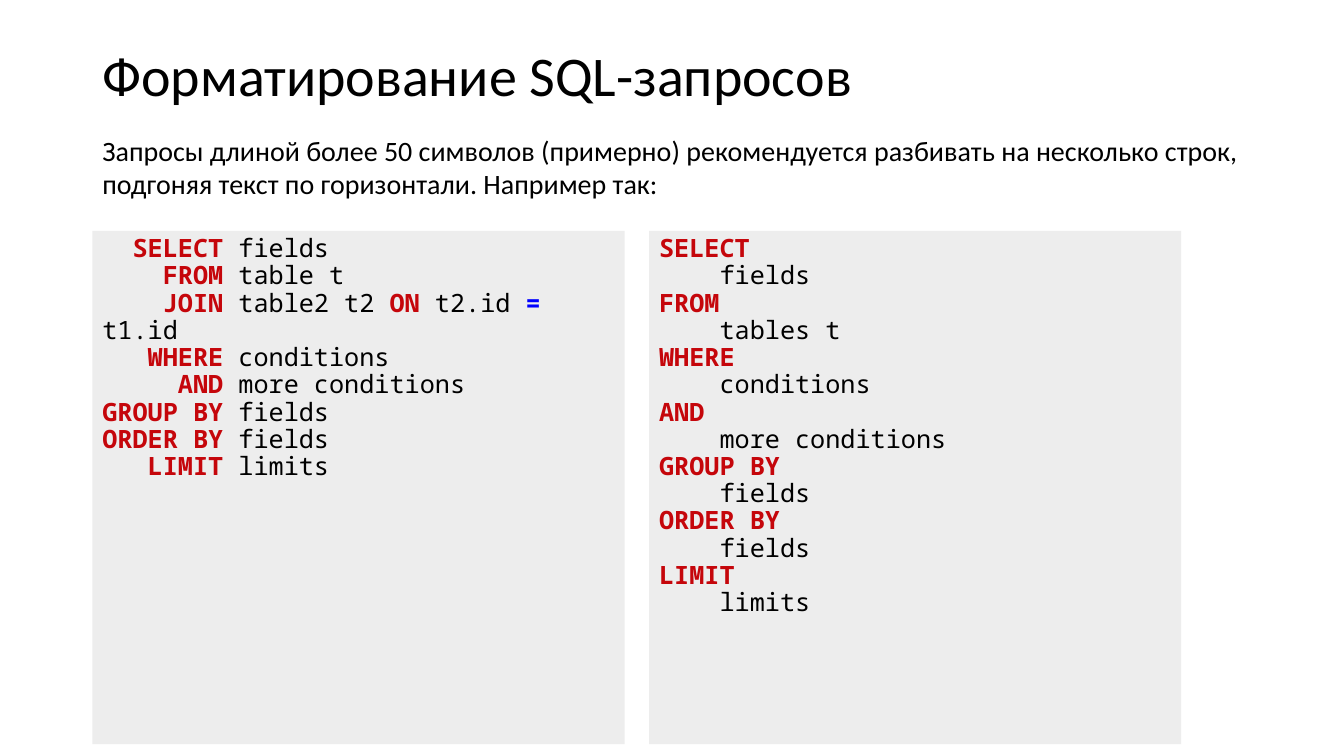
import pptx
import pptx.dml.color
import pptx.enum.shapes
import pptx.enum.text
import pptx.util

Cm, Pt = pptx.util.Cm, pptx.util.Pt
ANCHOR = pptx.enum.text.MSO_ANCHOR

TITLE = "Форматирование SQL-запросов"
ADVICE = ("Запросы длиной более 50 символов (примерно) рекомендуется разбивать "
          "на несколько строк, подгоняя текст по горизонтали. Например так:")

# Each clause: keyword, then the pieces of its argument as (text, style)
ALIGNED_QUERY = [
    ("SELECT", [("fields", "code")]),
    ("FROM", [("table t", "code")]),
    ("JOIN", [("table2 t2 ", "code"), ("ON", "keyword"), (" t2.id ", "code"),
              ("=", "operator"), (" t1.id", "code")]),
    ("WHERE", [("conditions", "code")]),
    ("AND", [("more conditions", "code")]),
    ("GROUP BY", [("fields", "code")]),
    ("ORDER BY", [("fields", "code")]),
    ("LIMIT", [("limits", "code")]),
]
STACKED_QUERY = [
    ("SELECT", "fields"),
    ("FROM", "tables t"),
    ("WHERE", "conditions"),
    ("AND", "more conditions"),
    ("GROUP BY", "fields"),
    ("ORDER BY", "fields"),
    ("LIMIT", "limits"),
]

COLORS = {"text": "000000", "panel": "EDEDED", "keyword": "C5060B", "operator": "0000FF"}
STYLES = {
    "title": ({"name": "Calibri", "size": Pt(40), "bold": False}, "text"),
    "advice": ({"name": "Calibri", "size": Pt(20), "bold": False}, "text"),
    "code": ({"name": "Noto Sans Mono", "size": Pt(18), "bold": False}, "text"),
    "keyword": ({"name": "Noto Sans Mono", "size": Pt(18), "bold": True}, "keyword"),
    "operator": ({"name": "Noto Sans Mono", "size": Pt(18), "bold": True}, "operator"),
}

LEFT, TEXT_WIDTH = Cm(2.33), Cm(29.21)
TITLE_TOP, TITLE_HEIGHT = Cm(0.74), Cm(2.49)
ADVICE_TOP, ADVICE_HEIGHT = Cm(3.23), Cm(2.24)
PANEL_TOP, PANEL_WIDTH, PANEL_HEIGHT = Cm(5.82), Cm(13.41), Cm(12.93)
PANEL_GAP = Cm(0.62)
INDENT = 4


def color(name):
    return pptx.dml.color.RGBColor.from_string(COLORS[name])


def aligned_lines(query):
    """Right-align the keywords to the longest one."""
    column = max(len(keyword) for keyword, _ in query)
    return [[(" " * (column - len(keyword)), "code"), (keyword, "keyword"),
             (" ", "code"), *argument] for keyword, argument in query]


def stacked_lines(query):
    """Put each keyword on its own line, with its argument indented below."""
    return [line for keyword, argument in query
            for line in ([(keyword, "keyword")], [(" " * INDENT + argument, "code")])]


def write(shape, lines, anchor=ANCHOR.TOP, line_spacing=0.9, space_before=Pt(0)):
    """Fill the shape with one left-aligned paragraph, its lines split by breaks."""
    frame = shape.text_frame
    frame.word_wrap = True
    frame.vertical_anchor = anchor
    paragraph = frame.paragraphs[0]
    layout = {"alignment": pptx.enum.text.PP_ALIGN.LEFT,
              "line_spacing": line_spacing, "space_before": space_before}
    for attribute, value in layout.items():
        setattr(paragraph, attribute, value)
    for number, line in enumerate(lines):
        if number:
            paragraph.add_line_break()
        for text, style in line:
            if not text:
                continue
            run = paragraph.add_run()
            run.text = text
            font_format, color_name = STYLES[style]
            for attribute, value in font_format.items():
                setattr(run.font, attribute, value)
            run.font.color.rgb = color(color_name)


def add_panel(slide, column, lines):
    panel = slide.shapes.add_shape(
        pptx.enum.shapes.MSO_SHAPE.RECTANGLE,
        LEFT + column * (PANEL_WIDTH + PANEL_GAP), PANEL_TOP, PANEL_WIDTH, PANEL_HEIGHT)
    panel.shadow.inherit = False
    panel.fill.solid()
    panel.fill.fore_color.rgb = color("panel")
    panel.line.fill.background()
    write(panel, lines, space_before=Pt(10))


def main():
    deck = pptx.Presentation()
    deck.slide_width, deck.slide_height = Cm(33.87), Cm(19.05)
    slide = deck.slides.add_slide(deck.slide_layouts[6])

    title = slide.shapes.add_textbox(LEFT, TITLE_TOP, TEXT_WIDTH, TITLE_HEIGHT)
    write(title, [[(TITLE, "title")]], anchor=ANCHOR.MIDDLE)
    advice = slide.shapes.add_textbox(LEFT, ADVICE_TOP, TEXT_WIDTH, ADVICE_HEIGHT)
    write(advice, [[(ADVICE, "advice")]], line_spacing=1.0, space_before=Pt(10))

    for column, lines in enumerate([aligned_lines(ALIGNED_QUERY),
                                    stacked_lines(STACKED_QUERY)]):
        add_panel(slide, column, lines)
    deck.save("out.pptx")


if __name__ == "__main__":
    main()
